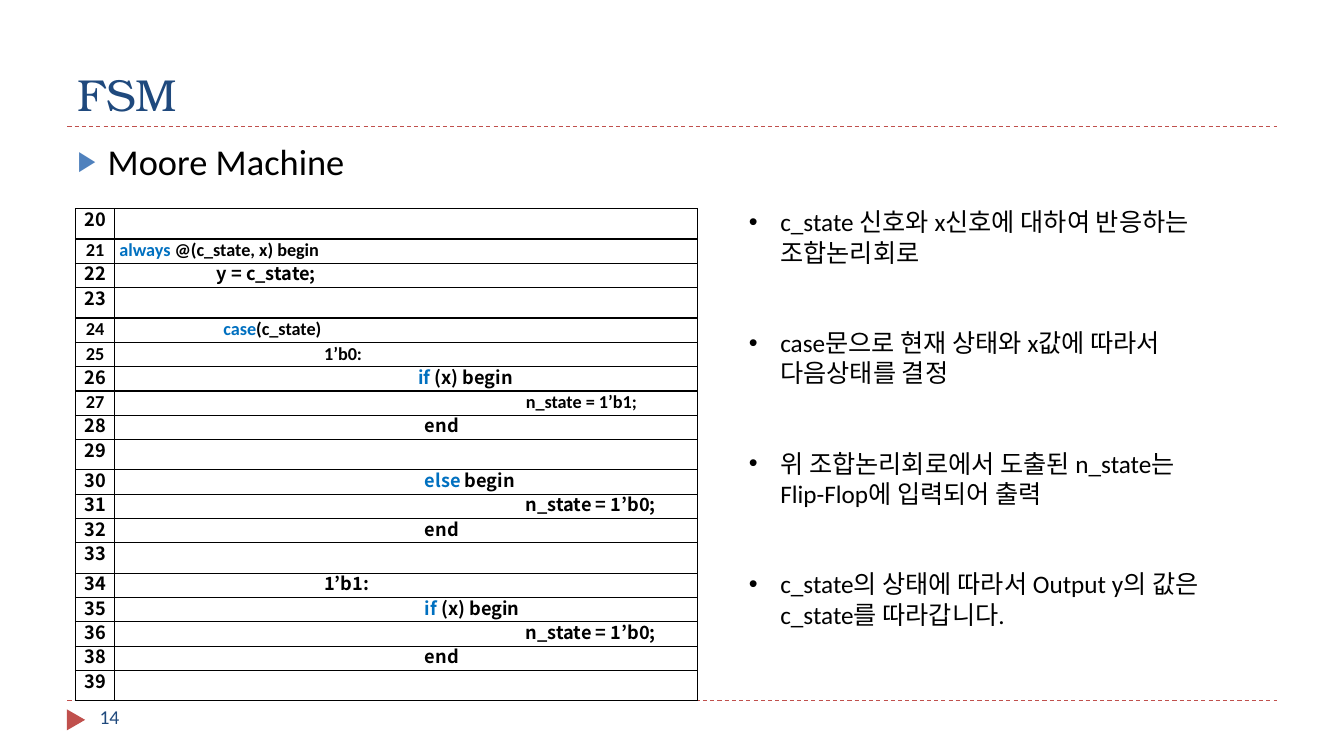
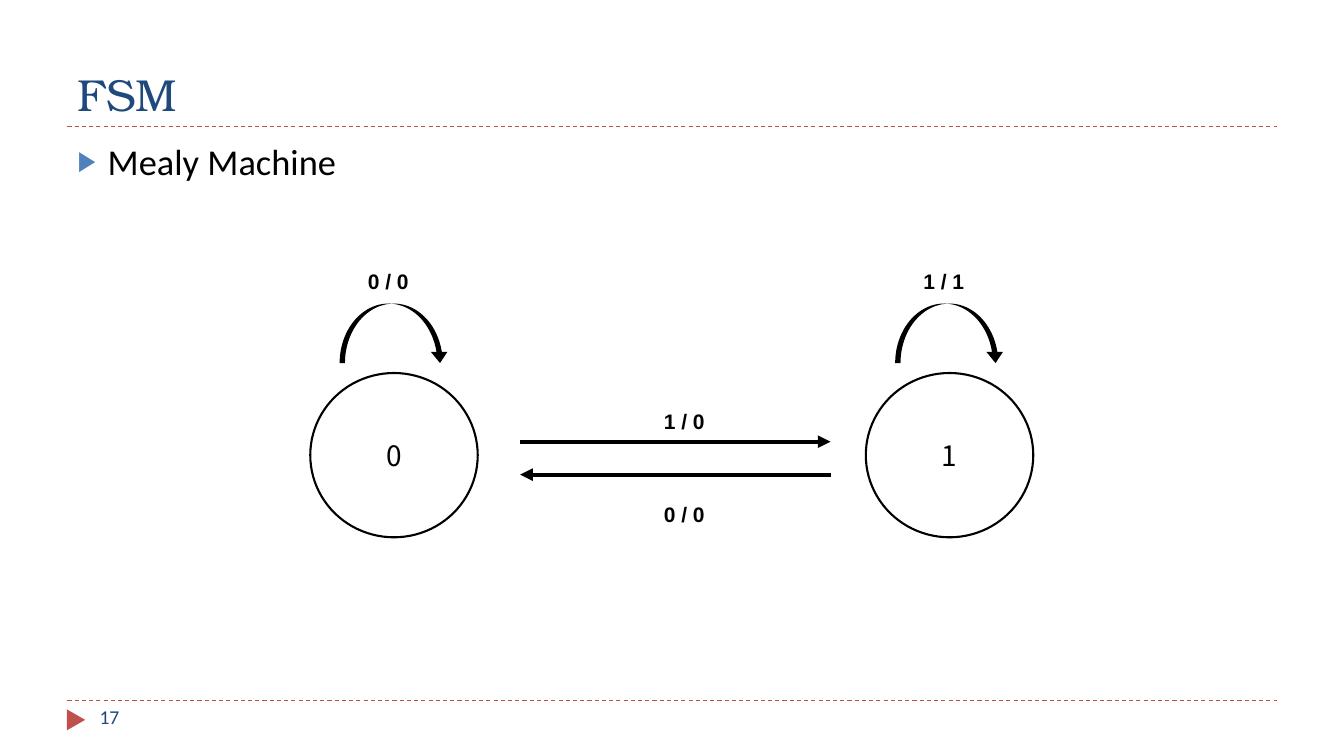
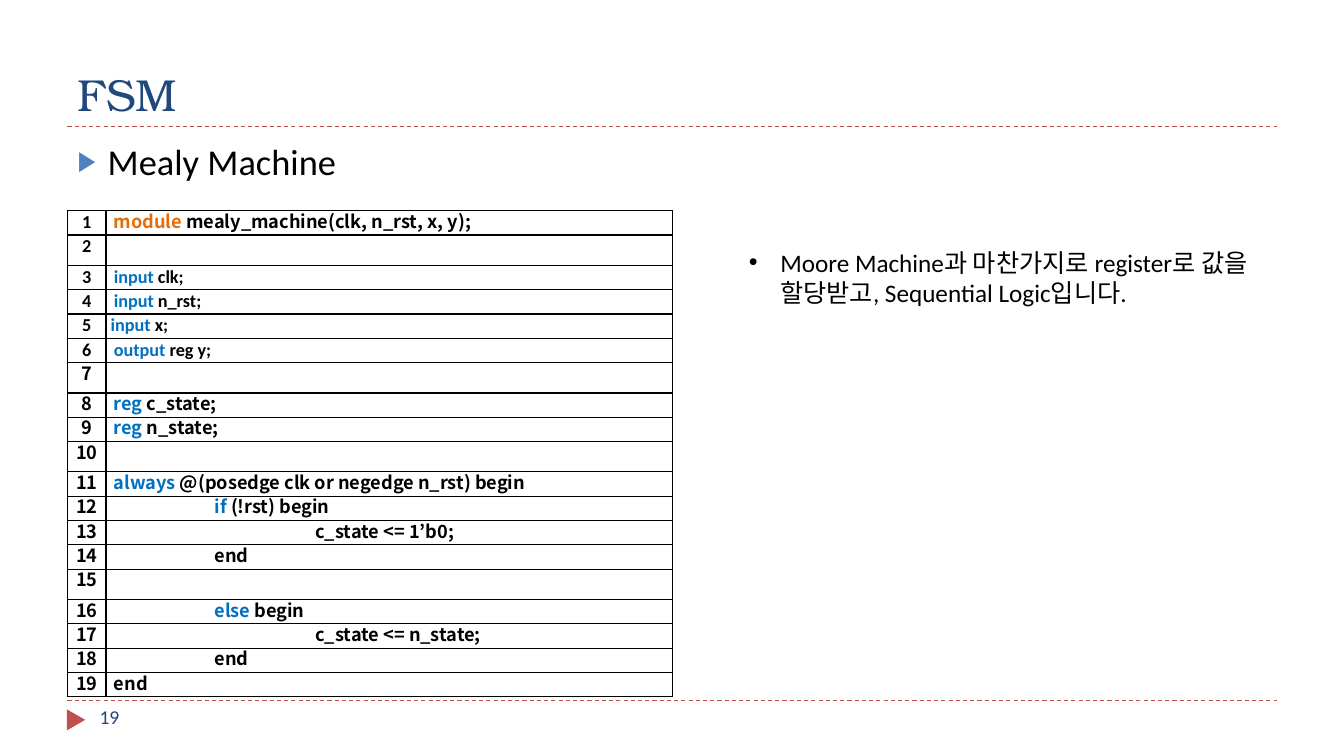
import lxml.etree
import pptx
import pptx.dml.color
import pptx.enum.dml
import pptx.enum.shapes
import pptx.enum.text
import pptx.oxml.ns
import pptx.util

Cm = pptx.util.Cm
Pt = pptx.util.Pt
RGB = pptx.dml.color.RGBColor
Align = pptx.enum.text.PP_ALIGN
Anchor = pptx.enum.text.MSO_ANCHOR
Shape = pptx.enum.shapes.MSO_SHAPE

BLACK = RGB(0x00, 0x00, 0x00)
NAVY = RGB(0x1F, 0x49, 0x7D)
RED = RGB(0xC0, 0x50, 0x4D)
BLUE = RGB(0x4F, 0x81, 0xBD)
KEY = RGB(0x00, 0x70, 0xC0)
ORANGE = RGB(0xE4, 0x6C, 0x0A)

SERIF, SANS, ARIAL = "TeX Gyre Bonum", "Calibri", "Arial"
FONTS = {"C": SANS, "N": "Noto Sans CJK KR"}

# Each code row: number, fonts of number and text, tab level, keyword, rest, own left pad
MOORE = [
    (20, "NN", 0, "", ""),
    (21, "CC", 0, "always", " @(c_state, x) begin", 0.12),
    (22, "NN", 1, "", "y = c_state;", 0.03),
    (23, "NN", 0, "", ""),
    (24, "CC", 1, "case", "(c_state)"),
    (25, "CC", 2, "", "1’b0:"),
    (26, "NN", 3, "if", " (x) begin", 0.03),
    (27, "CC", 4, "", "n_state = 1’b1;"),
    (28, "NN", 3, "", "end"),
    (29, "NN", 0, "", ""),
    (30, "NN", 3, "else", " begin"),
    (31, "NN", 4, "", "n_state = 1’b0;"),
    (32, "NN", 3, "", "end"),
    (33, "NN", 0, "", ""),
    (34, "NN", 2, "", "1’b1:"),
    (35, "NN", 3, "if", " (x) begin"),
    (36, "NN", 4, "", "n_state = 1’b0;"),
    (38, "NN", 3, "", "end"),
    (39, "NN", 0, "", ""),
]
MEALY = [
    (1, "CN", 0, "module", " mealy_machine(clk, n_rst, x, y);"),
    (2, "CC", 0, "", ""),
    (3, "CC", 0, "input", " clk;"),
    (4, "CC", 0, "input", " n_rst;"),
    (5, "CC", 0, "input", " x;", 0.12),
    (6, "CC", 0, "output", " reg y;"),
    (7, "NN", 0, "", ""),
    (8, "NN", 0, "reg", " c_state;"),
    (9, "NN", 0, "reg", " n_state;"),
    (10, "NN", 0, "", ""),
    (11, "NN", 0, "always", " @(posedge clk or negedge n_rst) begin"),
    (12, "NN", 1, "if", " (!rst) begin"),
    (13, "NN", 2, "", "c_state <= 1’b0;"),
    (14, "NN", 1, "", "end"),
    (15, "NN", 0, "", ""),
    (16, "NN", 1, "else", " begin"),
    (17, "NN", 2, "", "c_state <= n_state;"),
    (18, "NN", 1, "", "end"),
    (19, "NN", 0, "", "end"),
]
MOORE_NOTES = [
    "c_state 신호와 x신호에 대하여 반응하는 조합논리회로",
    "case문으로 현재 상태와 x값에 따라서 다음상태를 결정",
    "위 조합논리회로에서 도출된 n_state는\nFlip-Flop에 입력되어 출력",
    "c_state의 상태에 따라서 Output y의 값은 c_state를 따라갑니다.",
]
MEALY_NOTES = ["Moore Machine과 마찬가지로 register로 값을 할당받고, Sequential Logic입니다."]


def sub(node, tag, **attrs):
    return lxml.etree.SubElement(node, pptx.oxml.ns.qn(tag), **attrs)


def place(shape, left, top, width, height):
    shape.left, shape.top = Cm(left), Cm(top)
    shape.width, shape.height = Cm(width), Cm(height)


def write(para, text, size, font=SANS, color=BLACK, bold=False):
    run = para.add_run()
    run.text = text
    run.font.size, run.font.name, run.font.bold = Pt(size), font, bold
    run.font.color.rgb = color


def indent(para, left, first=0):
    props = para._p.get_or_add_pPr()
    props.set("marL", str(Cm(left)))
    props.set("indent", str(Cm(first)))
    return props


def bullet(para, char, hang, color=BLACK, scale=100):
    props = indent(para, hang, -hang)
    sub(sub(props, "a:buClr"), "a:srgbClr", val=str(color))
    sub(props, "a:buSzPct", val=str(scale * 1000))
    sub(props, "a:buFont", typeface=ARIAL)
    sub(props, "a:buChar", char=char)


class Deck:
    """Holds the shared style and the slide being built."""

    def __init__(self):
        self.show = pptx.Presentation()
        self.show.slide_width, self.show.slide_height = Cm(33.87), Cm(19.05)
        self.slide = None

    def page(self, topic, number, notes=False):
        """Start a slide with title, topic, rules and page number."""
        layout = self.show.slide_layouts[3 if notes else 1]
        self.slide = self.show.slides.add_slide(layout)
        for y in (3.18, 17.65):
            self.line(1.7, y, 32.18, y, RED, 0.75, dash=True)
        mark = self.shape(Shape.ISOSCELES_TRIANGLE, 1.65, 17.91, 0.53, 0.46, RED)
        mark.rotation = 90
        para = self.holder(0, 1.7, 0.43, 30.48, 2.74, Anchor.BOTTOM).paragraphs[0]
        para.alignment = Align.LEFT
        write(para, "FSM", 32, SERIF, NAVY)
        para = self.holder(1, 1.7, 3.38, 30.48, 13.72).paragraphs[0]
        para.space_before = Pt(6)
        bullet(para, "▶", 0.76, BLUE, 76)
        write(para, topic, 26)
        self.label(str(number), 2.26, 17.65, 7.34, 14, color=NAVY)

    def holder(self, index, left, top, width, height, anchor=Anchor.TOP):
        """Move a placeholder and return its text frame."""
        shape = self.slide.placeholders[index]
        place(shape, left, top, width, height)
        frame = shape.text_frame
        frame.auto_size = pptx.enum.text.MSO_AUTO_SIZE.NONE
        frame.vertical_anchor = anchor
        return frame

    def notes(self, items, top, height):
        frame = self.holder(2, 18.62, top, 13.77, height)
        for i, item in enumerate(items):
            para = frame.add_paragraph() if i else frame.paragraphs[0]
            para.space_before = Pt(43 if i else 0)
            para.line_spacing = Pt(21.6)
            bullet(para, "•", 0.79)
            for j, part in enumerate(item.split("\n")):
                if j:
                    para.add_line_break()
                write(para, part, 18)

    def label(self, text, left, top, width, size, font=SANS, color=BLACK, bold=False):
        box = self.slide.shapes.add_textbox(Cm(left), Cm(top), Cm(width), Cm(0.9))
        box.text_frame.word_wrap = True
        write(box.text_frame.paragraphs[0], text, size, font, color, bold)

    def shape(self, kind, left, top, width, height, fill=None):
        """Draw a filled shape, or a black outline when there is no fill."""
        shape = self.slide.shapes.add_shape(kind, Cm(left), Cm(top), Cm(width), Cm(height))
        shape.shadow.inherit = False
        if fill is None:
            shape.fill.background()
            shape.line.color.rgb, shape.line.width = BLACK, Pt(1.5)
        else:
            shape.fill.solid()
            shape.fill.fore_color.rgb = fill
            shape.line.fill.background()
        return shape

    def line(self, x1, y1, x2, y2, color, width, dash=False, arrow=False):
        line = self.slide.shapes.add_connector(
            pptx.enum.shapes.MSO_CONNECTOR.STRAIGHT, Cm(x1), Cm(y1), Cm(x2), Cm(y2))
        line.line.color.rgb, line.line.width = color, Pt(width)
        if dash:
            line.line.dash_style = pptx.enum.dml.MSO_LINE.DASH
        props = line._element.spPr
        if arrow:
            sub(props.find(pptx.oxml.ns.qn("a:ln")), "a:tailEnd", type="triangle")
        sub(props, "a:effectLst")

    def cell(self, cell):
        """Clear a table cell's style, frame it and return its paragraph."""
        cell.margin_left = cell.margin_right = cell.margin_top = cell.margin_bottom = 0
        props = cell._tc.get_or_add_tcPr()
        for side in "LRTB":
            edge = sub(props, "a:ln" + side, w=str(Pt(1)))
            sub(sub(edge, "a:solidFill"), "a:srgbClr", val=str(BLACK))
        cell.fill.background()
        para = cell.text_frame.paragraphs[0]
        para.line_spacing = Pt(16.3)
        return para

    def code(self, rows, left, top, widths, tall=()):
        """Draw numbered code lines; rows numbered in tall are a bit higher."""
        height = 11.66
        table = self.slide.shapes.add_table(
            len(rows), 2, Cm(left), Cm(top), Cm(sum(widths)), Cm(height)).table
        table.first_row = table.horz_banding = False
        for column, width in zip(table.columns, widths):
            column.width = Cm(width)
        for i, (number, fonts, level, key, rest, *pad) in enumerate(rows):
            table.rows[i].height = Cm(height / len(rows) + 0.05 * (number in tall))
            count, text = (self.cell(table.cell(i, j)) for j in (0, 1))
            count.alignment = Align.CENTER
            write(count, str(number), 13, FONTS[fonts[0]], bold=True)
            indent(text, 2.54 * level + (pad[0] if pad else 0.2))
            tint = ORANGE if key == "module" else KEY
            for part, color in ((key, tint), (rest, BLACK)):
                if part:
                    write(text, part, 13, FONTS[fonts[1]], color, True)

    def state(self, name, loop, left):
        """Draw a state circle with its labelled loop arrow."""
        ring = self.shape(Shape.OVAL, left, 9.4, 4.22, 4.14)
        para = ring.text_frame.paragraphs[0]
        para.alignment = Align.CENTER
        write(para, name, 20, FONTS["N"])
        arc = self.shape(Shape.CURVED_DOWN_ARROW, left + 0.74, 7.65, 2.74, 1.5, BLACK)
        for i, value in enumerate((0.09, 0.28, 0.19)):
            arc.adjustments[i] = value
        self.sign(loop, left + 1.2, 6.63)

    def sign(self, text, left, top):
        self.label(text, left, top, 1.9, 15, ARIAL, bold=True)

    def save(self):
        self.show.save("out.pptx")


def main():
    deck = Deck()

    deck.page("Moore Machine", 14, notes=True)
    deck.code(MOORE, 1.9, 5.26, (0.99, 14.68), tall=(20, 23, 33))
    deck.notes(MOORE_NOTES, 5.08, 11.02)

    deck.page("Mealy Machine", 17)
    deck.state("0", "0 / 0", 7.82)
    deck.state("1", "1 / 1", 21.82)
    start, end = 13.11, 20.93
    deck.line(start, 11.13, end, 11.13, BLACK, 3, arrow=True)
    deck.line(end, 11.96, start, 11.96, BLACK, 3, arrow=True)
    deck.sign("1 / 0", 16.48, 10.16)
    deck.sign("0 / 0", 16.48, 12.52)

    deck.page("Mealy Machine", 19, notes=True)
    deck.code(MEALY, 1.7, 5.31, (0.97, 14.27))
    deck.notes(MEALY_NOTES, 6.1, 1.8)

    deck.save()


if __name__ == "__main__":
    main()
